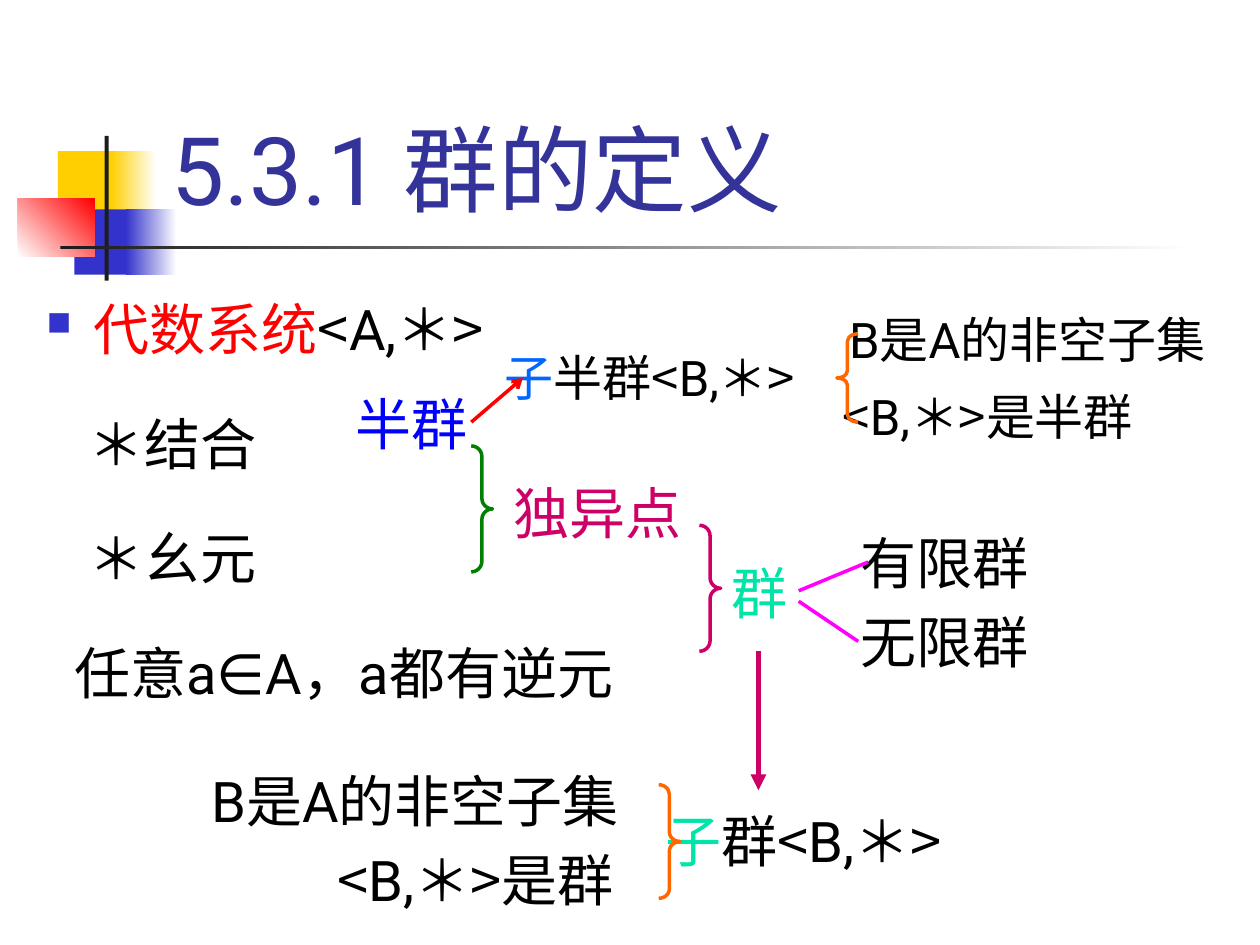
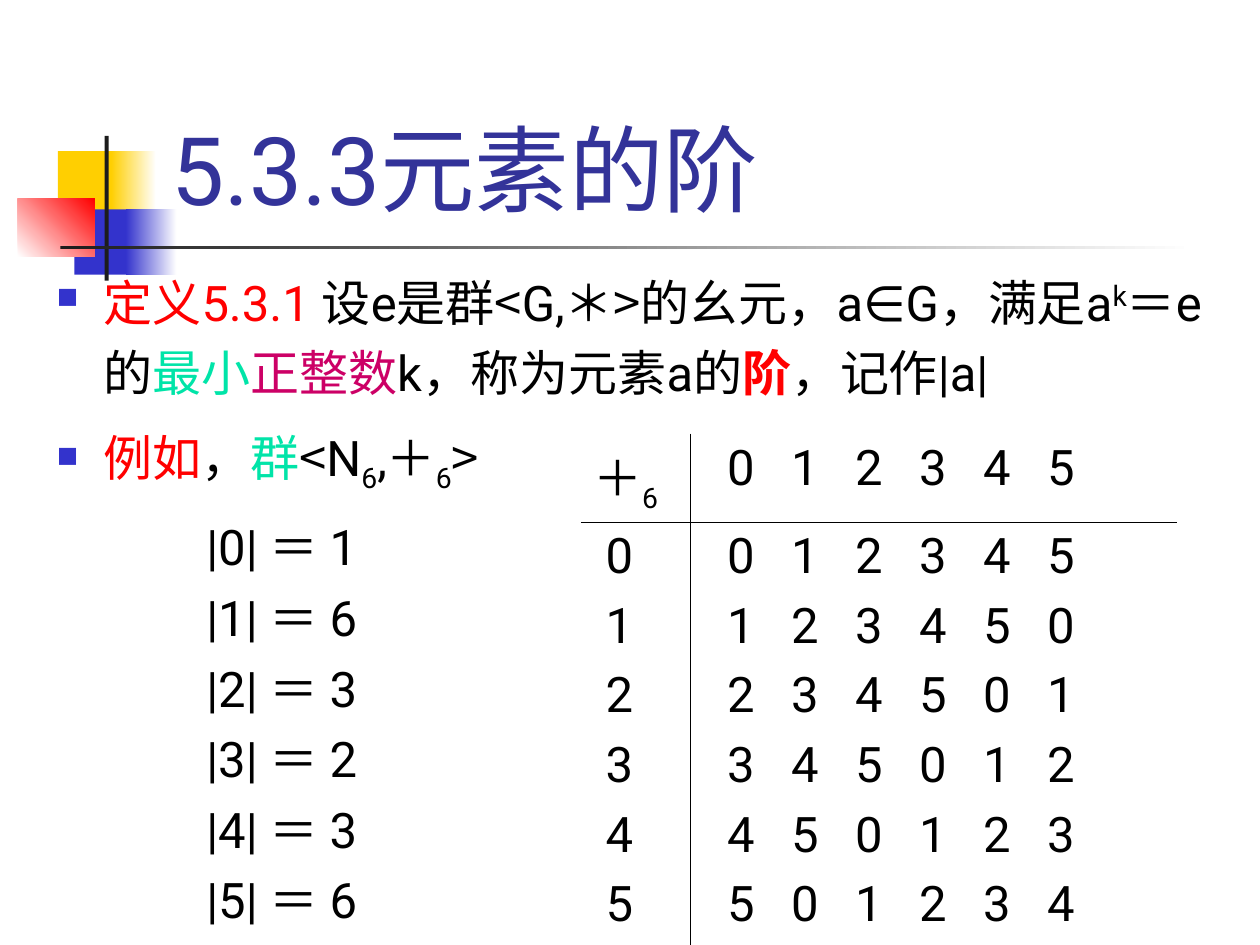
from dataclasses import dataclass
from math import gcd
from typing import Any, NamedTuple

from lxml import etree
from pptx import Presentation
from pptx import util as u
from pptx.dml import color
from pptx.enum import shapes, text
from pptx.oxml import ns

LATIN, HAN = "Roboto", "Noto Sans CJK SC"
BLACK, WHITE, RED, GOLD, BLUE = "000000", "FFFFFF", "FF0000", "FFCF01", "3333CC"
INK, TITLE, MINT, CRIMSON, ORANGE, PINK = "1C1C1C", "333399", "00E4A8", "CC0066", "FF6600", "FF00FF"
ORDER = 6


class Area(NamedTuple):
    left: float
    top: float
    width: float
    height: float

    def lengths(self) -> list[u.Length]:
        return [u.Cm(value) for value in self]


class Span(NamedTuple):
    words: str
    tint: str = BLACK
    font: str = LATIN
    bold: bool = False
    baseline: int = 0


@dataclass
class Para:
    spans: list[Span]
    spacing: float = 1.0
    before: float = 0
    margin: float = 0
    bullet: bool = False
    tabs: tuple[float, ...] = ()


class Band(NamedTuple):
    area: Area
    start: str
    end: str = ""
    angle: float = 0


class Label(NamedTuple):
    area: Area
    spans: list[Span]
    size: int = 32
    wrap: bool = False


class Brace(NamedTuple):
    area: Area
    tint: str
    kind: Any = shapes.MSO_SHAPE.RIGHT_BRACE


class Line(NamedTuple):
    start: tuple[float, float]
    end: tuple[float, float]
    tint: str
    weight: float = 2
    tail: str = ""


BANDS = [
    Band(Area(1.17, 3.05, 1.22, 1.32), GOLD),
    Band(Area(2.24, 3.05, 0.91, 1.32), GOLD, WHITE),
    Band(Area(1.5, 4.22, 1.17, 1.32), BLUE),
    Band(Area(2.54, 4.22, 1.02, 1.32), BLUE, WHITE),
    Band(Area(0.36, 4.01, 1.55, 1.17), WHITE, RED, 45),
    Band(Area(2.11, 2.74, 0.08, 2.92), INK),
    Band(Area(1.22, 4.95, 22.86, 0.08), INK, WHITE),
]


def rgb(value: str) -> color.RGBColor:
    return color.RGBColor.from_string(value)


def apply(target: Any, values: dict[str, Any]) -> None:
    for name, value in values.items():
        setattr(target, name, value)


def add_xml(parent: Any, tag: str, **attributes: str) -> Any:
    return etree.SubElement(parent, ns.qn(tag), attributes)


def pair(before: str = "", after: str = "", letter: str = "B") -> list[Span]:
    spans = [Span(before), Span("<", font=HAN), Span(f"{letter},＊"), Span(">", font=HAN), Span(after)]
    return [span for span in spans if span.words]


def write(frame: Any, paras: list[Para], size: float) -> None:
    for index, para in enumerate(paras):
        paragraph = frame.paragraphs[0] if index == 0 else frame.add_paragraph()
        apply(paragraph, {
            "alignment": text.PP_ALIGN.LEFT,
            "line_spacing": para.spacing,
            "space_before": u.Pt(para.before if index else 0),
        })
        properties = paragraph._p.get_or_add_pPr()
        properties.set("marL", str(u.Cm(para.margin)))
        if para.bullet:
            properties.set("indent", str(-u.Cm(para.margin)))
            add_xml(add_xml(properties, "a:buClr"), "a:srgbClr", val=BLUE)
            add_xml(properties, "a:buSzPct", val="60000")
            add_xml(properties, "a:buChar", char="■")
        if para.tabs:
            stops = add_xml(properties, "a:tabLst")
            for stop in para.tabs:
                add_xml(stops, "a:tab", pos=str(u.Cm(stop)), algn="l")
        for span in para.spans:
            run = paragraph.add_run()
            run.text = span.words
            apply(run.font, {"size": u.Pt(size), "name": span.font, "bold": span.bold})
            run.font.color.rgb = rgb(span.tint)
            if span.baseline:
                run._r.get_or_add_rPr().set("baseline", str(span.baseline * 1000))


def add_text(page: Any, area: Area, paras: list[Para], size: float, **settings: Any) -> None:
    frame = page.shapes.add_textbox(*area.lengths()).text_frame
    apply(frame, {"word_wrap": True, "auto_size": text.MSO_AUTO_SIZE.NONE} | settings)
    write(frame, paras, size)


def add_band(page: Any, band: Band) -> None:
    shape = page.shapes.add_shape(shapes.MSO_SHAPE.RECTANGLE, *band.area.lengths())
    shape.shadow.inherit = False
    shape.line.fill.background()
    if not band.end:
        shape.fill.solid()
        shape.fill.fore_color.rgb = rgb(band.start)
        return
    shape.fill.gradient()
    shape.fill.gradient_angle = band.angle
    for stop, tint in zip(shape.fill.gradient_stops, (band.start, band.end)):
        stop.color.rgb = rgb(tint)


def add_label(page: Any, label: Label) -> None:
    add_text(page, label.area, [Para(label.spans)], label.size,
             word_wrap=label.wrap, auto_size=text.MSO_AUTO_SIZE.SHAPE_TO_FIT_TEXT)


def add_brace(page: Any, brace: Brace) -> None:
    shape = page.shapes.add_shape(brace.kind, *brace.area.lengths())
    shape.adjustments[0] = brace.area.height / brace.area.width / 12
    shape.shadow.inherit = False
    shape.fill.background()
    shape.line.color.rgb = rgb(brace.tint)
    shape.line.width = u.Pt(2)


def add_line(page: Any, line: Line) -> None:
    ends = [u.Cm(value) for value in line.start + line.end]
    connector = page.shapes.add_connector(shapes.MSO_CONNECTOR.STRAIGHT, *ends)
    connector.line.color.rgb = rgb(line.tint)
    connector.line.width = u.Pt(line.weight)
    if line.tail:
        add_xml(connector.line._get_or_add_ln(), "a:tailEnd", type=line.tail)
    add_xml(connector._element.spPr, "a:effectLst")


def add_page(deck: Any, title: str) -> Any:
    page = deck.slides.add_slide(deck.slide_layouts[6])
    for band in BANDS:
        add_band(page, band)
    add_text(page, Area(3.2, 0.58, 21.64, 4.06), [Para([Span(title, TITLE)])], 54,
             vertical_anchor=text.MSO_ANCHOR.BOTTOM)
    return page


def set_borders(cell: Any, sides: str) -> None:
    properties = cell._tc.get_or_add_tcPr()
    for index, side in enumerate("LRTB"):
        edge = etree.Element(ns.qn(f"a:ln{side}"), w=str(u.Pt(0.45)))
        if side in sides:
            add_xml(add_xml(edge, "a:solidFill"), "a:srgbClr", val=BLACK)
        else:
            add_xml(edge, "a:noFill")
        properties.insert(index, edge)


def add_sum_table(page: Any) -> None:
    table = page.shapes.add_table(2, 2, *Area(11.71, 8.74, 12.01, 10.21).lengths()).table
    apply(table, {"first_row": False, "horz_banding": False})
    for column, width in zip(table.columns, (2.21, 9.8)):
        column.width = u.Cm(width)
    for row, height in zip(table.rows, (1.6, 8.61)):
        row.height = u.Cm(height)
    steps = tuple(round(1.29 * step, 2) for step in range(1, ORDER))

    def number_row(first: int) -> Para:
        digits = [str((first + step) % ORDER) for step in range(ORDER)]
        return Para([Span("\t".join(digits))], before=7, tabs=steps)

    contents = [
        (0, 0, 0.25, "RB", [Para([Span("＋"), Span("6", baseline=-25)])]),
        (0, 1, 0.74, "LB", [number_row(0)]),
        (1, 0, 0.5, "RT", [Para([Span(str(n))], before=7) for n in range(ORDER)]),
        (1, 1, 0.74, "LT", [number_row(n) for n in range(ORDER)]),
    ]
    for row, column, margin, sides, paras in contents:
        cell = table.cell(row, column)
        cell.margin_left = u.Cm(margin)
        cell.fill.background()
        set_borders(cell, sides)
        write(cell.text_frame, paras, 28)


def build_group_page(deck: Any) -> None:
    page = add_page(deck, "5.3.1 群的定义")
    star = {"spacing": 1.5, "before": 8, "margin": 0.84}
    add_text(page, Area(0.69, 5.13, 24.71, 13.92), [
        Para([Span("代数系统", RED)] + pair(letter="A"), 1.5, margin=0.95, bullet=True),
        Para([Span("＊"), Span("结合", font=HAN)], **star),
        Para([Span("＊"), Span("幺元", font=HAN)], **star),
        Para([Span("任意", font=HAN), Span("a∈A"), Span("，", font=HAN), Span("a都"),
              Span("有逆元", font=HAN)], 1.5, 8, 0.56),
    ], 32)
    subset = [Span("B是A的非空子集")]
    for label in [
        Label(Area(6.91, 7.72, 2.77, 1.63), [Span("半群", "0000FF")], wrap=True),
        Label(Area(10.11, 9.53, 3.89, 1.63), [Span("独异点", CRIMSON)]),
        Label(Area(14.5, 11.13, 1.63, 1.63), [Span("群", MINT)]),
        Label(Area(17.09, 10.52, 3.89, 1.63), [Span("有限群")]),
        Label(Area(17.09, 12.12, 3.89, 1.63), [Span("无限群")]),
        Label(Area(9.93, 6.88, 7.19, 1.45), [Span("子", "0066FF")] + pair("半群"), 28),
        Label(Area(13.16, 16.13, 7.04, 1.63), [Span("子", MINT)] + pair("群")),
        Label(Area(4.01, 15.32, 9.55, 1.63), subset),
        Label(Area(6.55, 16.92, 7.04, 1.63), pair(after="是群")),
        Label(Area(16.87, 6.12, 8.41, 1.45), subset, 28),
        Label(Area(16.74, 7.67, 7.19, 1.45), pair(after="是半群"), 28),
    ]:
        add_label(page, label)
    for brace in [
        Brace(Area(9.5, 8.99, 0.43, 2.54), "008000"),
        Brace(Area(14.1, 10.59, 0.43, 2.54), CRIMSON),
        Brace(Area(13.28, 15.82, 0.43, 2.29), ORANGE),
        Brace(Area(16.87, 6.73, 0.43, 1.78), ORANGE, shapes.MSO_SHAPE.LEFT_BRACE),
    ]:
        add_brace(page, brace)
    for line in [
        Line((15.29, 13.13), (15.29, 15.93), CRIMSON, 3, "triangle"),
        Line((16.1, 11.91), (17.5, 11.33), PINK),
        Line((16.1, 12.12), (17.3, 12.93), PINK),
        Line((9.5, 8.51), (10.54, 7.62), RED, tail="arrow"),
    ]:
        add_line(page, line)


def build_order_page(deck: Any) -> None:
    page = add_page(deck, "5.3.3元素的阶")
    six = Span("6", baseline=-25)
    item = {"spacing": 1.2, "before": 7, "margin": 0.95, "bullet": True}
    add_text(page, Area(0.89, 5.13, 24.51, 13.92), [
        Para([Span("定义5.3.1 ", RED)] + pair("设e是群", "的幺元，a∈G，满足a", "G")
             + [Span("k", baseline=30), Span("＝e的"), Span("最小", MINT), Span("正整数", CRIMSON),
                Span("k，称为元素a的"), Span("阶", RED, bold=True), Span("，记作|a|")], **item),
        Para([Span("例如", RED), Span("，"), Span("群", MINT), Span("<", font=HAN), Span("N"), six,
              Span(",＋"), six, Span(">", font=HAN)], **item),
    ], 28)
    add_sum_table(page)
    orders = [Para([Span(f"|{n}| ＝ {ORDER // gcd(n, ORDER)}")], 1.2) for n in range(ORDER)]
    add_text(page, Area(3.91, 10.06, 5.97, 8.79), orders, 28,
             auto_size=text.MSO_AUTO_SIZE.SHAPE_TO_FIT_TEXT)


def main() -> None:
    deck = Presentation()
    apply(deck, {"slide_width": u.Cm(25.4), "slide_height": u.Cm(19.05)})
    build_group_page(deck)
    build_order_page(deck)
    deck.save("out.pptx")


if __name__ == "__main__":
    main()
